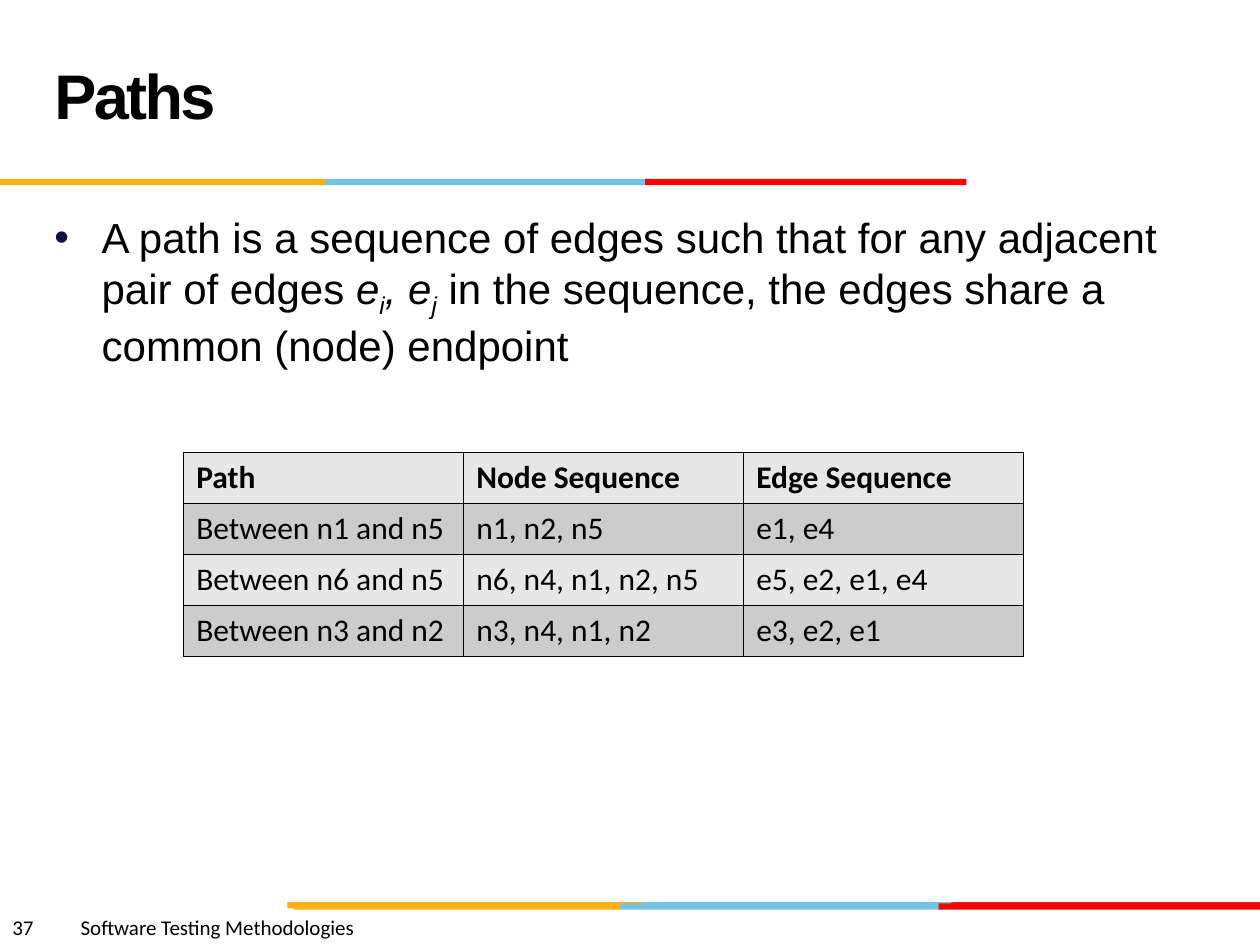
"""Build the slide that defines paths and tabulates their node and edge sequences."""
from lxml.etree import SubElement
from pptx import Presentation
from pptx.dml.color import RGBColor
from pptx.enum.shapes import MSO_SHAPE
from pptx.enum.text import MSO_ANCHOR
from pptx.oxml.ns import qn
from pptx.util import Pt

BLACK = RGBColor(0x00, 0x00, 0x00)
AMBER = RGBColor(0xFC, 0xB0, 0x17)
SKY = RGBColor(0x76, 0xC2, 0xE5)
CRIMSON = RGBColor(0xE3, 0x1C, 0x24)
RED = RGBColor(0xFF, 0x00, 0x00)
NAVY = RGBColor(0x10, 0x11, 0x41)
LIGHT_GREY = RGBColor(0xE7, 0xE7, 0xE7)
MID_GREY = RGBColor(0xCC, 0xCC, 0xCC)


def style(paragraph, family, size, bold=False):
    font = paragraph.font
    font.name, font.size, font.bold = family, Pt(size), bold
    font.color.rgb = BLACK


def add_text(left, top, width, height):
    frame = slide.shapes.add_textbox(Pt(left), Pt(top), Pt(width), Pt(height)).text_frame
    frame.word_wrap = True
    return frame


prs = Presentation()
prs.slide_width, prs.slide_height = Pt(720), Pt(540)
slide = prs.slides.add_slide(prs.slide_layouts[6])

STRIPES = [
    (364.3, 515.5, 183.6, SKY),
    (543.6, 515.5, 176.4, CRIMSON),
    (164.2, 515.5, 203, AMBER),
    (354.2, 516.2, 183.6, SKY),
    (167.8, 516.2, 186.4, AMBER),
    (536.4, 516.2, 183.6, RED),
    (185.8, 102.2, 183.6, SKY),
    (0, 102.2, 185.8, AMBER),
    (368.6, 102.2, 183.6, RED),
]
for left, top, width, color in STRIPES:
    stripe = slide.shapes.add_shape(MSO_SHAPE.RECTANGLE, Pt(left), Pt(top), Pt(width), Pt(3.6))
    stripe.shadow.inherit = False
    stripe.fill.solid()
    stripe.fill.fore_color.rgb = color
    stripe.line.fill.background()

footer = add_text(0, 519.1, 360, 21.6).paragraphs[0]
footer.text = "37\tSoftware Testing Methodologies"
style(footer, "Calibri", 12)
tabs = SubElement(footer._p.get_or_add_pPr(), qn("a:tabLst"))
SubElement(tabs, qn("a:tab"), pos=str(Pt(39)), algn="l")
footer_properties = footer._p.pPr
footer_properties.insert(0, tabs)

definition = add_text(24, 117.4, 648, 356.4).paragraphs[0]
style(definition, "Arial", 24)
definition.space_before = Pt(4.8)
DEFINITION_RUNS = [
    ("A path is a sequence of edges such that for any adjacent pair of edges ", False, False),
    ("e", True, False),
    ("i", True, True),
    (", e", True, False),
    ("j", True, True),
    (" in the sequence, the edges share a common (node) endpoint", False, False),
]
for text, italic, subscript in DEFINITION_RUNS:
    run = definition.add_run()
    run.text = text
    run.font.italic = italic
    if subscript:
        run._r.get_or_add_rPr().set("baseline", "-25000")
definition_properties = definition._p.get_or_add_pPr()
definition_properties.set("marL", str(Pt(27)))
definition_properties.set("indent", str(Pt(-27)))
bullet_color = SubElement(definition_properties, qn("a:buClr"))
SubElement(bullet_color, qn("a:srgbClr"), val=str(NAVY))
bullet_font = SubElement(definition_properties, qn("a:buFont"), typeface="Arial")
bullet = SubElement(definition_properties, qn("a:buChar"), char="•")
definition_properties.find(qn("a:defRPr")).addprevious(bullet_color)
bullet_color.addnext(bullet_font)
bullet_font.addnext(bullet)

heading_frame = add_text(24, 12.2, 498.2, 90)
heading_frame.vertical_anchor = MSO_ANCHOR.MIDDLE
heading = heading_frame.paragraphs[0]
heading.text = "Paths"
heading.line_spacing = Pt(36)
style(heading, "Arial", 36, bold=True)
heading.runs[0]._r.get_or_add_rPr().set("spc", "-150")

PATHS = [
    ("Path", "Node Sequence", "Edge Sequence"),
    ("Between n1 and n5", "n1, n2, n5", "e1, e4"),
    ("Between n6 and n5", "n6, n4, n1, n2, n5", "e5, e2, e1, e4"),
    ("Between n3 and n2", "n3, n4, n1, n2", "e3, e2, e1"),
]
paths = slide.shapes.add_table(4, 3, Pt(105), Pt(258.5), Pt(480), Pt(116.8)).table
for row_index, values in enumerate(PATHS):
    paths.rows[row_index].height = Pt(29.2)
    for column_index, value in enumerate(values):
        cell = paths.cell(row_index, column_index)
        cell.text = value
        style(cell.text_frame.paragraphs[0], "Calibri", 18, bold=row_index == 0)
        cell_properties = cell._tc.get_or_add_tcPr()
        for side in ("lnL", "lnR", "lnT", "lnB"):
            border = SubElement(cell_properties, qn(f"a:{side}"), w=str(Pt(1)))
            border_fill = SubElement(border, qn("a:solidFill"))
            SubElement(border_fill, qn("a:srgbClr"), val=str(BLACK))
        cell.fill.solid()
        cell.fill.fore_color.rgb = MID_GREY if row_index % 2 else LIGHT_GREY

prs.save("out.pptx")
